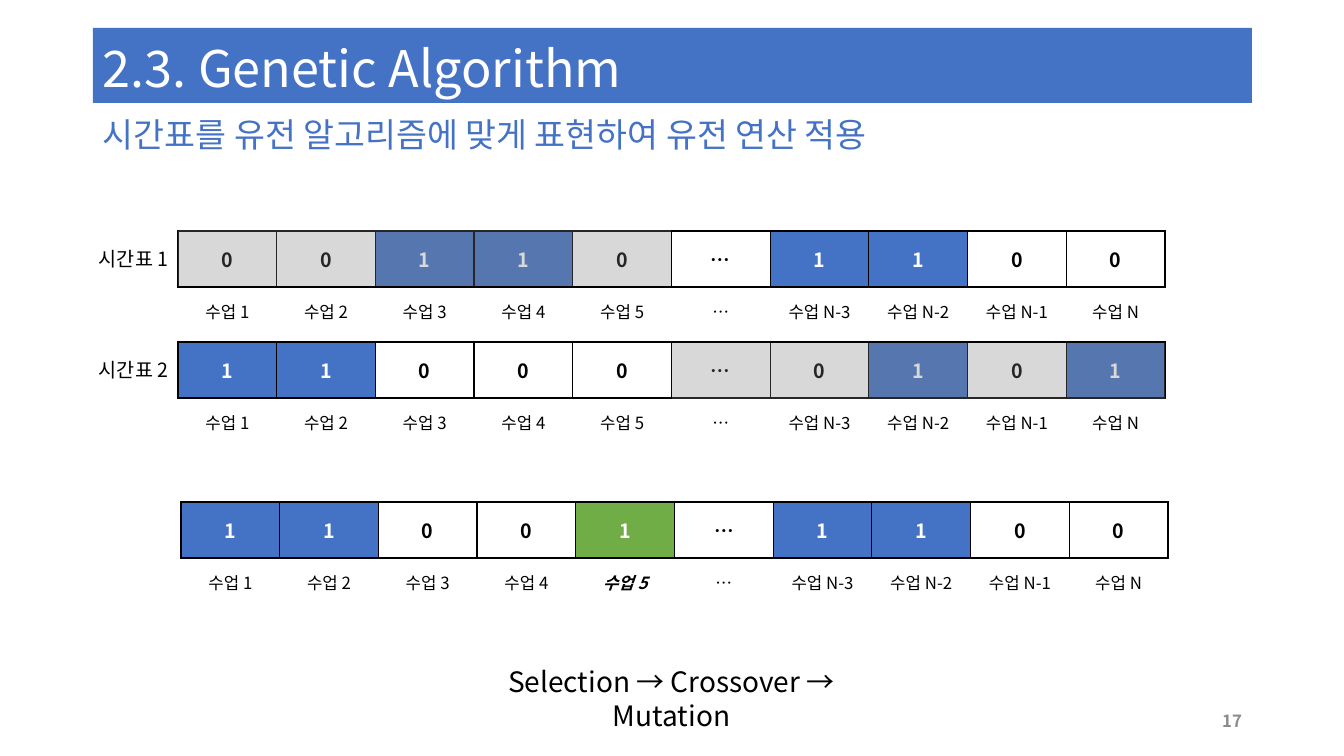
from dataclasses import dataclass

from lxml import etree
from pptx import Presentation
from pptx.dml.color import RGBColor
from pptx.enum.shapes import MSO_SHAPE
from pptx.enum.text import MSO_ANCHOR, PP_ALIGN
from pptx.oxml.ns import qn
from pptx.util import Pt

RECT = MSO_SHAPE.RECTANGLE
TOP, MIDDLE, BOTTOM = MSO_ANCHOR.TOP, MSO_ANCHOR.MIDDLE, MSO_ANCHOR.BOTTOM
LEFT, CENTER, RIGHT = PP_ALIGN.LEFT, PP_ALIGN.CENTER, PP_ALIGN.RIGHT
SCALE = 12192000 / 1344


@dataclass(frozen=True)
class Theme:
    font: str = "Noto Sans CJK KR"
    blue: str = "4472C4"
    green: str = "70AD47"
    black: str = "000000"
    white: str = "FFFFFF"
    gray: str = "808080"
    pale: str = "8C8C8C"
    title: int = 36
    lead: int = 24
    steps: int = 20
    gene: int = 14
    small: int = 12


THEME = Theme()
LESSONS = ["수업 1", "수업 2", "수업 3", "수업 4", "수업 5", "…",
           "수업 N-3", "수업 N-2", "수업 N-1", "수업 N"]
MUTANT = 4
ROW_WIDTH, GENE_HEIGHT, LABEL_HEIGHT, LABEL_DROP = 987, 56, 36, 62


def px(count):
    return round(count * SCALE)


def box(*sides):
    return [px(side) for side in sides]


def rgb(color):
    return RGBColor.from_string(color)


def write(frame, text, size, color, align=LEFT, bold=False, italic=False):
    frame.text = text
    par = frame.paragraphs[0]
    par.alignment = align
    for run in par.runs:
        font = run.font
        font.size, font.bold, font.italic = Pt(size), bold, italic
        font.color.rgb = rgb(color)
        font.name = THEME.font
        etree.SubElement(run._r.get_or_add_rPr(), qn("a:ea"), typeface=THEME.font)
    return par


def add_text(slide, place, text, size, color, align=LEFT, anchor=TOP, bold=False):
    frame = slide.shapes.add_textbox(*box(*place)).text_frame
    frame.word_wrap = True
    frame.vertical_anchor = anchor
    return write(frame, text, size, color, align, bold)


def add_rect(slide, place, color, alpha=None):
    shape = slide.shapes.add_shape(RECT, *box(*place))
    shape.shadow.inherit = False
    shape.fill.solid()
    shape.fill.fore_color.rgb = rgb(color)
    shape.line.fill.background()
    if alpha is not None:
        tint = shape._element.spPr.find(f".//{qn('a:srgbClr')}")
        etree.SubElement(tint, qn("a:alpha"), val=str(alpha * 1000))
    return shape


def set_border(cell, color):
    """Draw all four sides in the colour, or clear them for None."""
    props = cell._tc.get_or_add_tcPr()
    for side in ("lnL", "lnR", "lnT", "lnB"):
        line = etree.SubElement(props, qn(f"a:{side}"), w=str(Pt(1)))
        if color:
            fill = etree.SubElement(line, qn("a:solidFill"))
            etree.SubElement(fill, qn("a:srgbClr"), val=color)
        else:
            etree.SubElement(line, qn("a:noFill"))


def add_row(slide, left, top, height, count):
    """Add a plain one-row table and return its cells."""
    place = box(left, top, ROW_WIDTH, height)
    table = slide.shapes.add_table(1, count, *place).table
    table.first_row = table.horz_banding = False
    for column in table.columns:
        column.width = px(ROW_WIDTH) // count
    return list(table.rows[0].cells)


def fill_cell(cell, text, size, color, fill=None, border=None, bold=False, italic=False):
    set_border(cell, border)
    if fill:
        cell.fill.solid()
        cell.fill.fore_color.rgb = rgb(fill)
    else:
        cell.fill.background()
    cell.vertical_anchor = MIDDLE
    write(cell.text_frame, text, size, color, CENTER, bold, italic)


def add_genes(slide, left, top, genes, mutant=None):
    """Add a row of genes with the lesson names below it."""
    cells = add_row(slide, left, top, GENE_HEIGHT, len(genes))
    for index, (cell, gene) in enumerate(zip(cells, genes)):
        fill = None
        if gene == "1":
            fill = THEME.green if index == mutant else THEME.blue
        color = THEME.white if fill else THEME.black
        fill_cell(cell, gene, THEME.gene, color, fill, THEME.black, bold=True)
    cells = add_row(slide, left, top + LABEL_DROP, LABEL_HEIGHT, len(LESSONS))
    for index, (cell, lesson) in enumerate(zip(cells, LESSONS)):
        strong = index == mutant
        fill_cell(cell, lesson, THEME.small, THEME.black, bold=strong, italic=strong)


def add_title(slide, text):
    frame = add_rect(slide, (93, 28, 1159, 75), THEME.blue).text_frame
    frame.word_wrap = True
    frame.vertical_anchor = BOTTOM
    write(frame, text, THEME.title, THEME.white).line_spacing = 0.9


def main():
    deck = Presentation()
    deck.slide_width, deck.slide_height = box(1344, 756)
    slide = deck.slides.add_slide(deck.slide_layouts[6])

    add_title(slide, "2.3. Genetic Algorithm")
    lead = add_text(slide, (93, 113, 1159, 48),
                    "시간표를 유전 알고리즘에 맞게 표현하여 유전 연산 적용",
                    THEME.lead, THEME.blue, anchor=MIDDLE)
    lead.line_spacing = 0.9

    add_genes(slide, 178, 231, "00110…1100")
    add_genes(slide, 178, 342, "11000…0101")
    add_genes(slide, 181, 502, "11001…1100", MUTANT)
    for name, top in (("시간표 1", 242), ("시간표 2", 353)):
        add_text(slide, (89, top, 90, 34), name, THEME.gene, THEME.black)
    for left, top in ((178, 230), (672, 343)):
        add_rect(slide, (left, top, 493, GENE_HEIGHT), THEME.gray, alpha=30)

    add_text(slide, (950, 701, 302, 40), "17", THEME.small, THEME.pale,
             RIGHT, MIDDLE, bold=True)
    add_text(slide, (437, 660, 469, 44), "Selection → Crossover → Mutation",
             THEME.steps, THEME.black, CENTER)
    deck.save("out.pptx")


if __name__ == "__main__":
    main()
